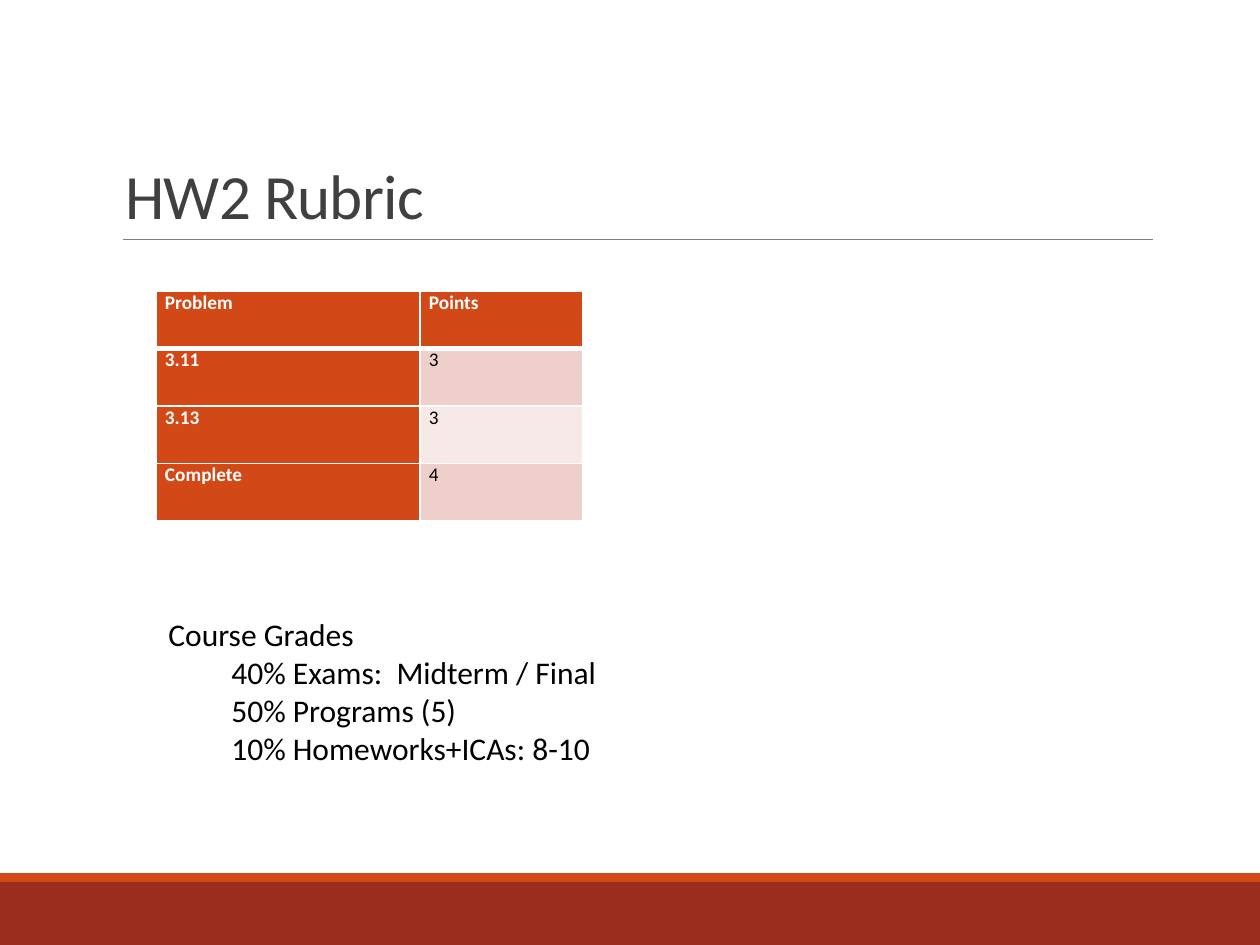
"""Build the HW2 rubric slide with its points table and course grade weights."""
from dataclasses import dataclass
from typing import Any

from lxml.etree import SubElement
from pptx import Presentation
from pptx.dml.color import RGBColor
from pptx.enum.shapes import MSO_CONNECTOR, MSO_SHAPE
from pptx.enum.text import MSO_ANCHOR, MSO_AUTO_SIZE
from pptx.oxml.ns import qn
from pptx.util import Emu, Pt


@dataclass(frozen=True)
class Theme:
    font: str = "Calibri"
    title_size: float = 36
    body_size: float = 18
    table_size: float = 11
    title: str = "404040"
    body: str = "000000"
    light: str = "FFFFFF"
    rule: str = "808080"
    accent: str = "D34817"
    footer: str = "9B2D1F"
    bands: tuple[str, str] = ("EFCFCC", "F7E9E8")


@dataclass(frozen=True)
class Band:
    top: int
    height: int
    color: str


@dataclass(frozen=True)
class Score:
    problem: str
    points: str


THEME = Theme()
SLIDE_WIDTH, SLIDE_HEIGHT = 1260, 945
BANDS = (Band(882, 63, THEME.footer), Band(873, 9, THEME.accent))
SCORES = (
    Score("Problem", "Points"),
    Score("3.11", "3"),
    Score("3.13", "3"),
    Score("Complete", "4"),
)
COLUMNS = (264, 163)
GRADES_HEADING = "Course Grades"
GRADE_WEIGHTS = (
    "40% Exams:  Midterm / Final",
    "50% Programs (5)",
    "10% Homeworks+ICAs: 8-10",
)


def px(length: int) -> Emu:
    return Emu(round(length * 914400 / 126))


def apply(target: Any, values: dict[str, Any]) -> None:
    for name, value in values.items():
        setattr(target, name, value)


def write(paragraph: Any, text: str, size: float, color: str, bold: bool = False) -> Any:
    run = paragraph.add_run()
    run.text = text
    apply(run.font, {"name": THEME.font, "size": Pt(size), "bold": bold})
    run.font.color.rgb = RGBColor.from_string(color)
    return run


def draw_band(slide: Any, band: Band) -> None:
    bar = slide.shapes.add_shape(
        MSO_SHAPE.RECTANGLE, 0, px(band.top), px(SLIDE_WIDTH), px(band.height)
    )
    bar.shadow.inherit = False
    bar.fill.solid()
    bar.fill.fore_color.rgb = RGBColor.from_string(band.color)
    bar.line.fill.background()


def draw_title(slide: Any) -> None:
    rule = slide.shapes.add_connector(
        MSO_CONNECTOR.STRAIGHT, px(123), px(239), px(1153), px(239)
    )
    rule.line.color.rgb = RGBColor.from_string(THEME.rule)
    rule.line.width = Pt(0.5)
    SubElement(rule._element.spPr, qn("a:effectLst"))

    frame = slide.shapes.add_textbox(px(113), px(39), px(1040), px(200)).text_frame
    apply(frame, {"word_wrap": True, "vertical_anchor": MSO_ANCHOR.BOTTOM})
    heading = frame.paragraphs[0]
    heading.line_spacing = 0.85
    run = write(heading, "HW2 Rubric", THEME.title_size, THEME.title)
    run._r.get_or_add_rPr().set("spc", "-40")


def border_cell(cell: Any, widths: dict[str, float]) -> None:
    properties = cell._tc.get_or_add_tcPr()
    for position, (side, width) in enumerate(widths.items()):
        edge = SubElement(properties, qn(f"a:{side}"), w=str(Pt(width)))
        fill = SubElement(edge, qn("a:solidFill"))
        SubElement(fill, qn("a:srgbClr"), val=THEME.light)
        properties.insert(position, edge)


def draw_scores(slide: Any) -> None:
    table = slide.shapes.add_table(
        len(SCORES), len(COLUMNS), px(156), px(291), px(sum(COLUMNS)), px(230)
    ).table
    for column, width in zip(table.columns, COLUMNS):
        column.width = px(width)
    margins = {
        "margin_left": px(9),
        "margin_right": px(9),
        "margin_top": 0,
        "margin_bottom": 0,
    }
    for row, score in enumerate(SCORES):
        for column, text in enumerate((score.problem, score.points)):
            cell = table.cell(row, column)
            strong = row == 0 or column == 0
            fill = THEME.accent if strong else THEME.bands[(row - 1) % 2]
            color = THEME.light if strong else THEME.body
            apply(cell, margins)
            cell.fill.solid()
            cell.fill.fore_color.rgb = RGBColor.from_string(fill)
            write(cell.text_frame.paragraphs[0], text, THEME.table_size, color, strong)
            border_cell(cell, {
                "a:lnL"[2:]: 1,
                "lnR": 1,
                "lnT": 3 if row == 1 else 1,
                "lnB": 3 if row == 0 else 1,
            })


def draw_grades(slide: Any) -> None:
    frame = slide.shapes.add_textbox(px(156), px(609), px(459), px(165)).text_frame
    apply(frame, {"word_wrap": False, "auto_size": MSO_AUTO_SIZE.SHAPE_TO_FIT_TEXT})
    write(frame.paragraphs[0], GRADES_HEADING, THEME.body_size, THEME.body)
    for weight in GRADE_WEIGHTS:
        paragraph = frame.add_paragraph()
        paragraph._p.get_or_add_pPr().set("marL", str(px(63)))
        write(paragraph, weight, THEME.body_size, THEME.body)


def main() -> None:
    presentation = Presentation()
    apply(presentation, {"slide_width": px(SLIDE_WIDTH), "slide_height": px(SLIDE_HEIGHT)})
    slide = presentation.slides.add_slide(presentation.slide_layouts[6])
    for band in BANDS:
        draw_band(slide, band)
    draw_title(slide)
    draw_scores(slide)
    draw_grades(slide)
    presentation.save("out.pptx")


if __name__ == "__main__":
    main()
